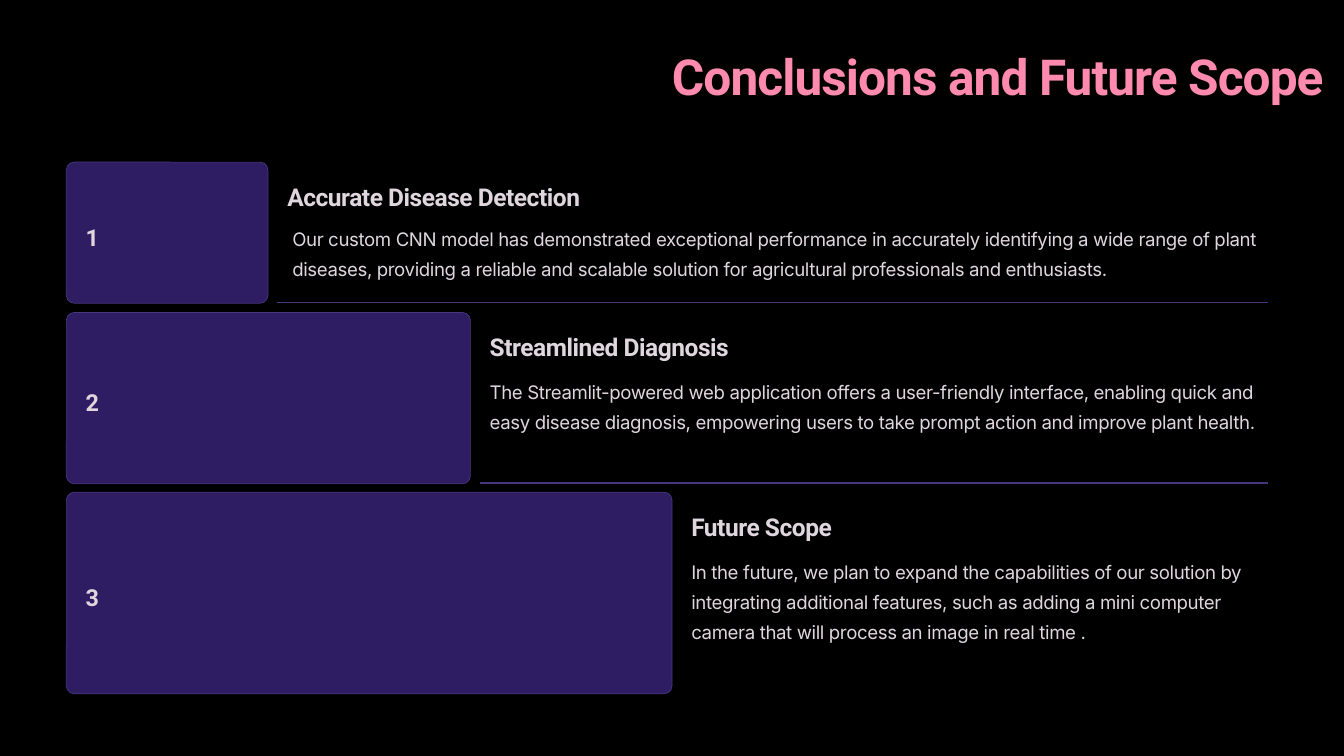
from dataclasses import dataclass

from lxml import etree
from pptx import Presentation
from pptx.dml.color import RGBColor
from pptx.enum.shapes import MSO_CONNECTOR, MSO_SHAPE
from pptx.enum.text import PP_ALIGN
from pptx.oxml.ns import qn
from pptx.slide import Slide
from pptx.util import Inches, Pt

ROUNDED = MSO_SHAPE.ROUNDED_RECTANGLE
STRAIGHT = MSO_CONNECTOR.STRAIGHT
LEFT, CENTER = PP_ALIGN.LEFT, PP_ALIGN.CENTER

BLACK, PINK, PURPLE, VIOLET, PALE = "000000", "FF8AAF", "2F1D63", "48367C", "E0D6DE"

CARD_LEFT = 0.79
CORNER_RADIUS = 0.094
RULE_RIGHT = 15.09
NUMBER_HEIGHT = 0.45


@dataclass(frozen=True)
class TextStyle:
    font: str
    size: float
    line_spacing: float
    tracking: float
    color: str = PALE
    bold: bool = True
    align: PP_ALIGN = LEFT
    wrap: bool = False


TITLE = TextStyle("Roboto", 42.5, 53, -0.8, color=PINK)
NUMBER = TextStyle("Roboto", 20, 32, -0.4, align=CENTER)
HEADING = TextStyle("Roboto", 21, 26.5, -0.4)
BODY = TextStyle("Inter", 16, 25.5, -0.3, bold=False, wrap=True)


@dataclass(frozen=True)
class Step:
    top: float
    width: float
    height: float
    number: str
    number_width: float
    heading: str
    heading_width: float
    body: str
    body_lines: int
    body_right: float = 14.99
    body_indent: float = 0.0
    body_drop: float = 0.73
    has_rule: bool = True


STEPS = [
    Step(1.93, 2.4, 1.68, "1", 0.11, "Accurate Disease Detection", 3.54,
         "Our custom CNN model has demonstrated exceptional performance in accurately "
         "identifying a wide range of plant diseases, providing a reliable and scalable "
         "solution for agricultural professionals and enthusiasts.",
         2, body_right=15.05, body_indent=0.06, body_drop=0.7),
    Step(3.72, 4.81, 2.04, "2", 0.15, "Streamlined Diagnosis", 2.96,
         "The Streamlit-powered web application offers a user-friendly interface, "
         "enabling quick and easy disease diagnosis, empowering users to take prompt "
         "action and improve plant health.", 3),
    Step(5.86, 7.21, 2.4, "3", 0.15, "Future Scope", 2.96,
         "In the future, we plan to expand the capabilities of our solution by "
         "integrating additional features, such as adding a mini computer camera that "
         "will process an image in real time .", 4, has_rule=False),
]


def rgb(color: str) -> RGBColor:
    return RGBColor.from_string(color)


def add_text(slide: Slide, left: float, top: float, width: float, height: float,
             text: str, style: TextStyle) -> None:
    box = slide.shapes.add_textbox(Inches(left), Inches(top), Inches(width), Inches(height))
    frame = box.text_frame
    frame.word_wrap = style.wrap
    frame.margin_left = frame.margin_right = frame.margin_top = frame.margin_bottom = 0
    paragraph = frame.paragraphs[0]
    paragraph.alignment = style.align
    paragraph.line_spacing = Pt(style.line_spacing)
    run = paragraph.add_run()
    run.text = text
    run.font.name = style.font
    run.font.size = Pt(style.size)
    run.font.bold = style.bold
    run.font.color.rgb = rgb(style.color)
    run._r.get_or_add_rPr().set("spc", str(round(style.tracking * 100)))


def add_card(slide: Slide, step: Step) -> None:
    card = slide.shapes.add_shape(ROUNDED, Inches(CARD_LEFT), Inches(step.top),
                                  Inches(step.width), Inches(step.height))
    card.adjustments[0] = CORNER_RADIUS / step.height
    card.shadow.inherit = False
    card.fill.solid()
    card.fill.fore_color.rgb = rgb(PURPLE)
    card.line.color.rgb = rgb(VIOLET)
    card.line.width = Pt(0.6)


def add_rule(slide: Slide, left: float, y: float) -> None:
    rule = slide.shapes.add_connector(STRAIGHT, Inches(left), Inches(y),
                                      Inches(RULE_RIGHT), Inches(y))
    rule.line.color.rgb = rgb(VIOLET)
    rule.line.width = Pt(0.9)
    etree.SubElement(rule._element.spPr, qn("a:effectLst"))


def add_step(slide: Slide, step: Step) -> None:
    card_right = CARD_LEFT + step.width
    text_left = card_right + 0.23
    body_left = text_left + step.body_indent
    number_top = step.top + (step.height - NUMBER_HEIGHT) / 2

    add_card(slide, step)
    add_text(slide, CARD_LEFT + 0.23, number_top, step.number_width, NUMBER_HEIGHT,
             step.number, NUMBER)
    add_text(slide, text_left, step.top + 0.22, step.heading_width, 0.37,
             step.heading, HEADING)
    add_text(slide, body_left, step.top + step.body_drop, step.body_right - body_left,
             0.36 * step.body_lines, step.body, BODY)
    if step.has_rule:
        add_rule(slide, card_right + 0.11, step.top + step.height - 0.01)


def main() -> None:
    deck = Presentation()
    deck.slide_width, deck.slide_height = Inches(16), Inches(9)
    slide = deck.slides.add_slide(deck.slide_layouts[6])
    slide.background.fill.solid()
    slide.background.fill.fore_color.rgb = rgb(BLACK)

    add_text(slide, 8, 0.52, 7.87, 0.74, "Conclusions and Future Scope", TITLE)
    for step in STEPS:
        add_step(slide, step)
    deck.save("out.pptx")


if __name__ == "__main__":
    main()
